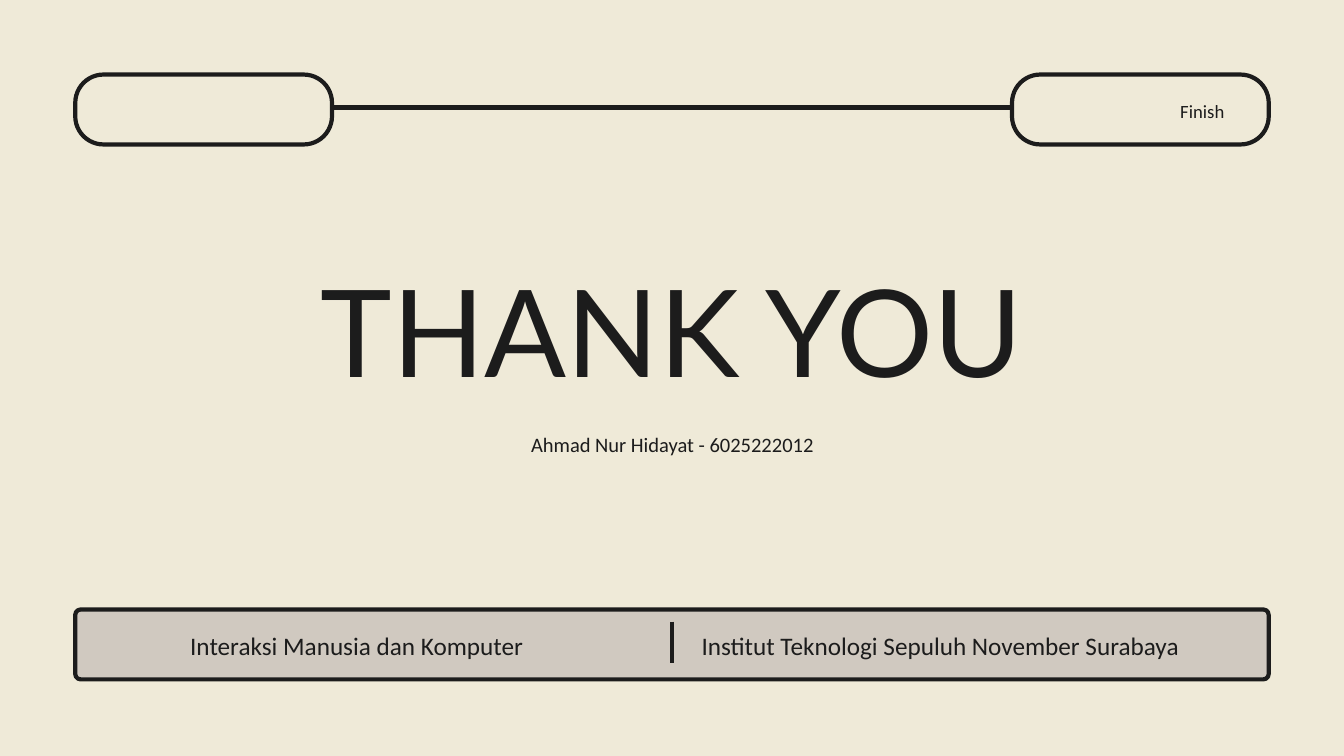
from lxml import etree
from pptx import Presentation
from pptx.dml.color import RGBColor
from pptx.enum.shapes import MSO_CONNECTOR, MSO_SHAPE
from pptx.enum.text import MSO_ANCHOR, MSO_AUTO_SIZE, PP_ALIGN
from pptx.oxml.ns import qn
from pptx.util import Inches, Pt

ROUNDED = MSO_SHAPE.ROUNDED_RECTANGLE
STRAIGHT = MSO_CONNECTOR.STRAIGHT
TOP, NO_AUTOFIT = MSO_ANCHOR.TOP, MSO_AUTO_SIZE.NONE
LEFT, CENTER, RIGHT = PP_ALIGN.LEFT, PP_ALIGN.CENTER, PP_ALIGN.RIGHT
COLORS = {"paper": "EFEAD8", "ink": "1C1C1C", "bar": "D0C9C0"}


class ClosingSlide:
    line_width = Pt(4.5)

    def __init__(self, slide):
        self.slide = slide
        slide.background.fill.solid()
        slide.background.fill.fore_color.rgb = self.color("paper")

    def color(self, name):
        return RGBColor.from_string(COLORS[name])

    def stroke(self, line):
        line.color.rgb = self.color("ink")
        line.width = self.line_width

    def panel(self, left, top, width, height, radius, fill):
        panel = self.slide.shapes.add_shape(
            ROUNDED, *map(Inches, (left, top, width, height)))
        panel.adjustments[0] = radius / height
        panel.shadow.inherit = False
        panel.fill.solid()
        panel.fill.fore_color.rgb = self.color(fill)
        self.stroke(panel.line)

    def rule(self, x1, y1, x2, y2):
        rule = self.slide.shapes.add_connector(
            STRAIGHT, *map(Inches, (x1, y1, x2, y2)))
        self.stroke(rule.line)
        etree.SubElement(rule._element.spPr, qn("a:effectLst"))

    def set_text(self, holder, text, size, spacing, align=LEFT, font="Calibri"):
        frame = holder.text_frame
        frame.text = text
        frame_format = {"margin_left": 0, "margin_top": 0, "margin_right": 0,
                        "margin_bottom": 0, "word_wrap": True,
                        "auto_size": NO_AUTOFIT, "vertical_anchor": TOP}
        paragraph = frame.paragraphs[0]
        paragraph_format = {"alignment": align, "line_spacing": Pt(spacing),
                            "space_before": Pt(0)}
        font_format = {"name": font, "size": Pt(size), "bold": False}
        for target, values in ((frame, frame_format),
                               (paragraph, paragraph_format),
                               (paragraph.font, font_format)):
            for name, value in values.items():
                setattr(target, name, value)
        paragraph.font.color.rgb = self.color("ink")

    def placeholder(self, index, box, *text_style):
        holder = self.slide.placeholders[index]
        for name, value in zip(("left", "top", "width", "height"), box):
            setattr(holder, name, Inches(value))
        self.set_text(holder, *text_style)

    def label(self, box, *text_style):
        holder = self.slide.shapes.add_textbox(*map(Inches, box))
        self.set_text(holder, *text_style)


def main():
    deck = Presentation()
    deck.slide_width, deck.slide_height = Inches(20), Inches(11.25)
    closing = ClosingSlide(deck.slides.add_slide(deck.slide_layouts[0]))

    margin, panel_height, tab_width = 1.12, 1.04, 3.82
    content_width = 20 - 2 * margin
    finish_left = 20 - margin - tab_width

    # Footer bar with divider
    closing.panel(margin, 9.07, content_width, panel_height, 0.08, "bar")
    closing.rule(10, 9.25, 10, 9.86)
    closing.label((10.44, 9.31, 8.14, 0.49),
                  "Institut Teknologi Sepuluh November Surabaya", 27, 37.8)
    closing.label((2.83, 9.3, 5.65, 0.49),
                  "Interaksi Manusia dan Komputer", 27, 37.8)

    # Header tabs joined by a line
    for tab_left in (margin, finish_left):
        closing.panel(tab_left, 1.11, tab_width, panel_height, 0.42, "paper")
    closing.rule(margin + tab_width, 1.6, finish_left, 1.6)
    closing.label((16.9, 1.54, 1.32, 0.27), "Finish", 20, 20, RIGHT)

    # Thanks and author
    closing.placeholder(0, (2.02, 4.18, 15.96, 2.03),
                        "THANK YOU", 129.9, 129.9, CENTER, "Lato")
    closing.placeholder(1, (3.65, 6.36, 12.71, 0.4),
                        "Ahmad Nur Hidayat - 6025222012", 22, 30.8, CENTER)

    deck.save("out.pptx")


if __name__ == "__main__":
    main()
